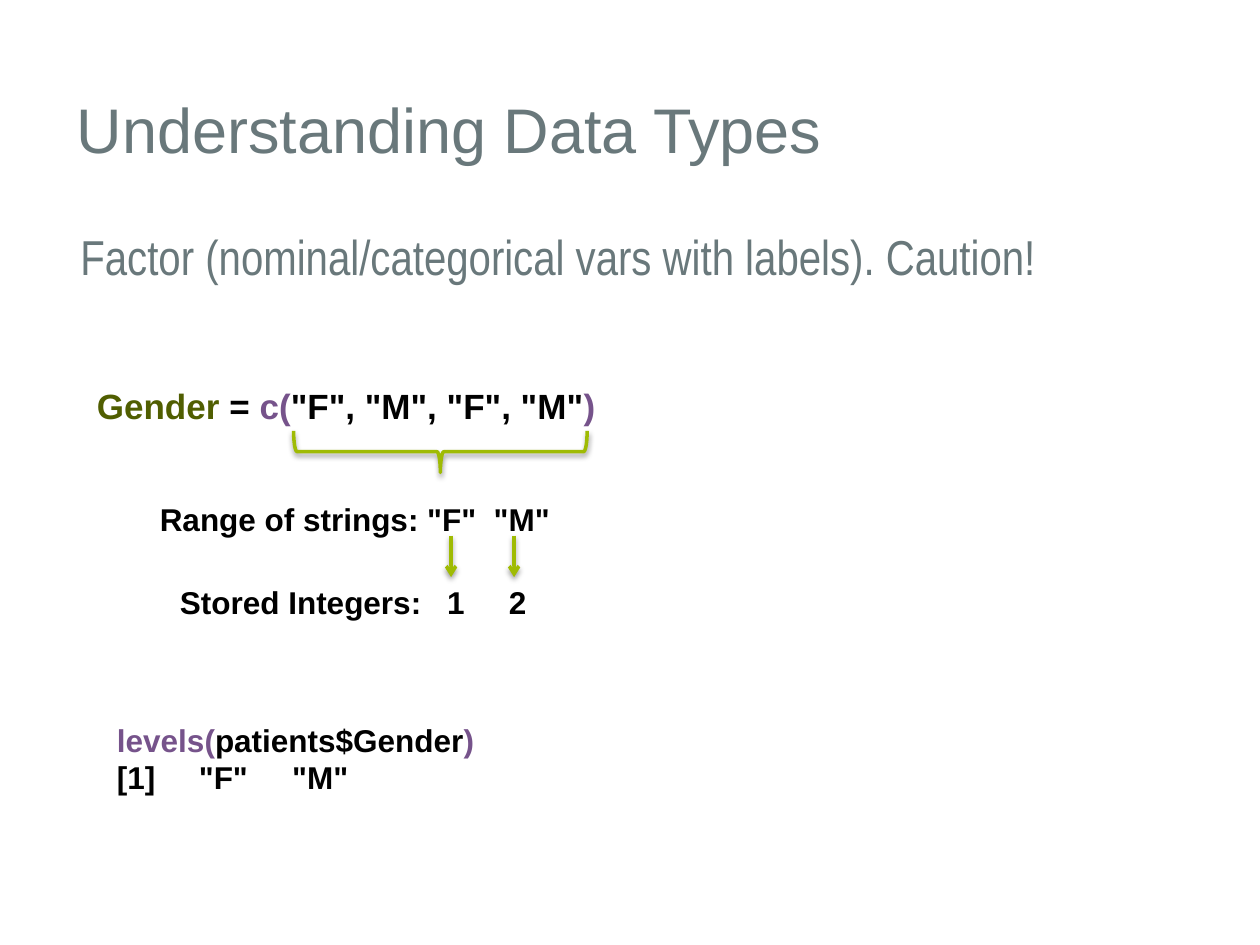
from lxml import etree
from pptx import Presentation
from pptx import util as u
from pptx.dml.color import RGBColor
from pptx.enum import shapes, text
from pptx.oxml import ns

COLORS = {
    "slate": "69787B",
    "olive": "505E01",
    "purple": "76538B",
    "black": "000000",
    "lime": "9FBB03",
}


def color(name):
    return RGBColor.from_string(COLORS[name])


def add_child(parent, tag, **attributes):
    return etree.SubElement(parent, ns.qn(tag), attributes)


def add_text(page, place, lines, size, font="Arial", bold=True, tabs=(),
             anchor=text.MSO_ANCHOR.TOP, before=0):
    """Add a text box whose lines are lists of (wording, color name) spans."""
    box = page.shapes.add_textbox(*map(u.Inches, place))
    frame = box.text_frame
    frame.word_wrap = True
    frame.vertical_anchor = anchor
    for index, spans in enumerate(lines):
        para = frame.add_paragraph() if index else frame.paragraphs[0]
        para.font.name = font
        para.font.size = u.Pt(size)
        para.font.bold = bold
        para.space_before = u.Pt(before)
        if tabs:
            add_tabs(para, tabs)
        for wording, name in spans:
            span = para.add_run()
            span.text = wording
            span.font.color.rgb = color(name)


def add_tabs(para, stops):
    """Set left tab stops, in inches from the text edge."""
    properties = para._p.get_or_add_pPr()
    tab_list = etree.Element(ns.qn("a:tabLst"))
    for stop in stops:
        add_child(tab_list, "a:tab", pos=str(u.Inches(stop)), algn="l")
    properties.find(ns.qn("a:defRPr")).addprevious(tab_list)


def style_line(item, arrow=False):
    """Give a shape or connector the lime line and its soft shadow."""
    item.line.color.rgb = color("lime")
    item.line.width = u.Pt(2)
    if arrow:
        add_child(item.line._get_or_add_ln(), "a:tailEnd", type="arrow")
    effects = add_child(item._element.spPr, "a:effectLst")
    shadow = add_child(effects, "a:outerShdw", blurRad=str(u.Pt(3.1)),
                       dist=str(u.Pt(1.6)), dir="5400000", rotWithShape="0")
    tint = add_child(shadow, "a:srgbClr", val=COLORS["black"])
    add_child(tint, "a:alpha", val="38000")


def add_brace(page, place):
    """Add a right brace turned to point downwards."""
    brace = page.shapes.add_shape(shapes.MSO_SHAPE.RIGHT_BRACE, *map(u.Inches, place))
    brace.rotation = 90
    brace.fill.background()
    style_line(brace)


def add_down_arrow(page, x, top, bottom):
    """Add a vertical arrow pointing from a string to its integer."""
    arrow = page.shapes.add_connector(
        shapes.MSO_CONNECTOR.STRAIGHT, *map(u.Inches, (x, top, x, bottom)))
    style_line(arrow, arrow=True)


def main():
    deck = Presentation()
    deck.slide_width, deck.slide_height = u.Inches(10), u.Inches(7.5)
    page = deck.slides.add_slide(deck.slide_layouts[6])

    add_text(page, (0.51, 0.48, 7.91, 1.07),
             [[("Understanding Data Types", "slate")]],
             36, bold=False, anchor=text.MSO_ANCHOR.MIDDLE)
    add_text(page, (0.54, 1.75, 8.9, 1.17),
             [[("Factor (nominal/categorical vars with labels). Caution!", "slate")]],
             28, font="Arial Narrow", bold=False, before=5.6)
    add_text(page, (0.67, 3, 4.75, 0.44),
             [[("Gender", "olive"), (" = ", "black"), ("c(", "purple"),
               ('"F", "M", "F", "M"', "black"), (")", "purple")]], 20)
    add_brace(page, (3.33, 2.42, 0.33, 2.33))
    add_text(page, (1.17, 3.92, 3.67, 0.4),
             [[('Range of strings: "F"\t"M"', "black")]], 18, tabs=(2.65,))
    add_text(page, (1.33, 4.58, 3.17, 0.4),
             [[("Stored Integers:\t1\t2", "black")]], 18, tabs=(2.12, 2.61))
    for x in (3.58, 4.08):
        add_down_arrow(page, x, 4.25, 4.58)
    add_text(page, (0.83, 5.67, 4.42, 0.71),
             [[("levels(", "purple"), ("patients$Gender", "black"), (")", "purple")],
              [('[1]\t"F"\t"M"', "black")]], 18, tabs=(0.65, 1.39))

    deck.save("out.pptx")


if __name__ == "__main__":
    main()
